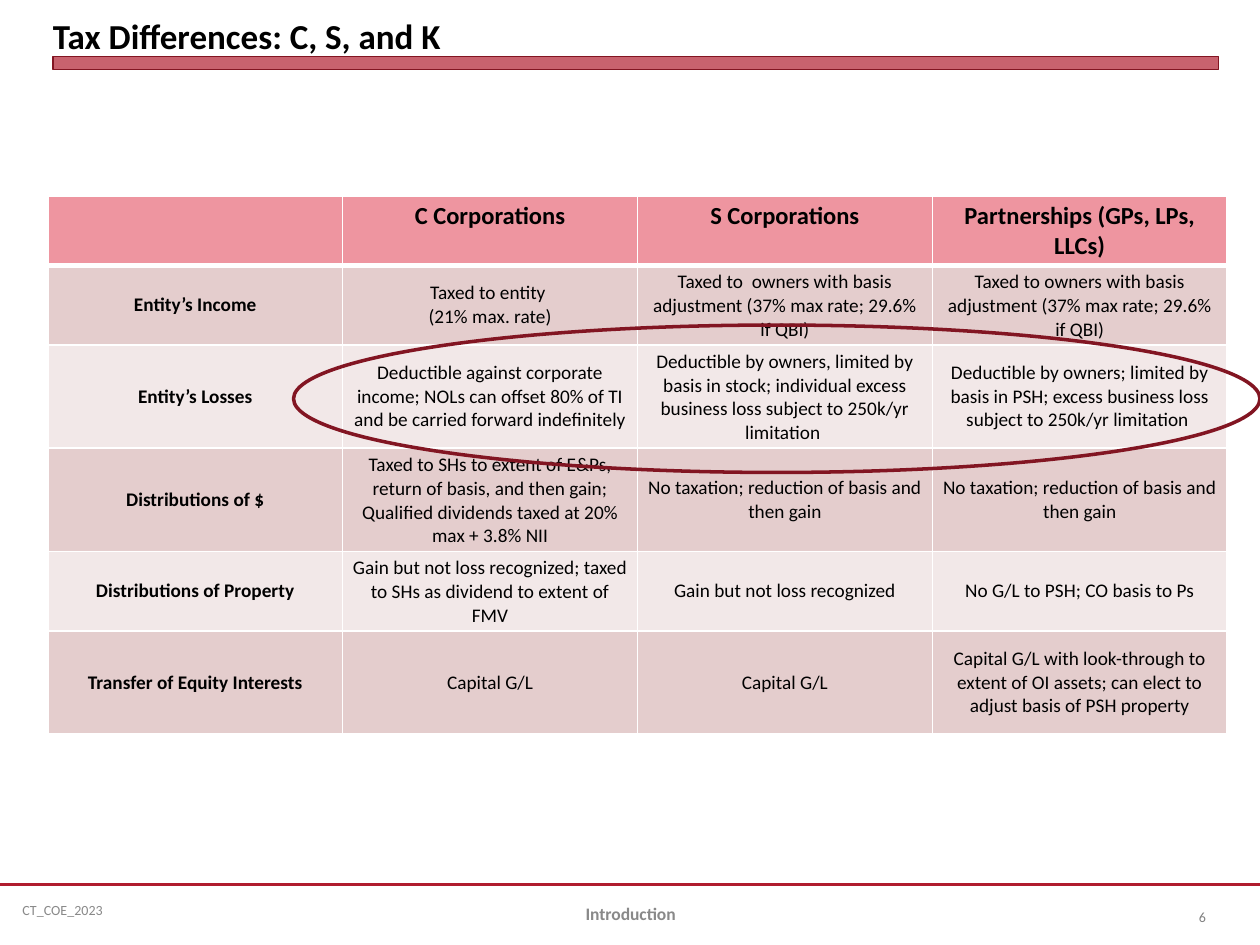
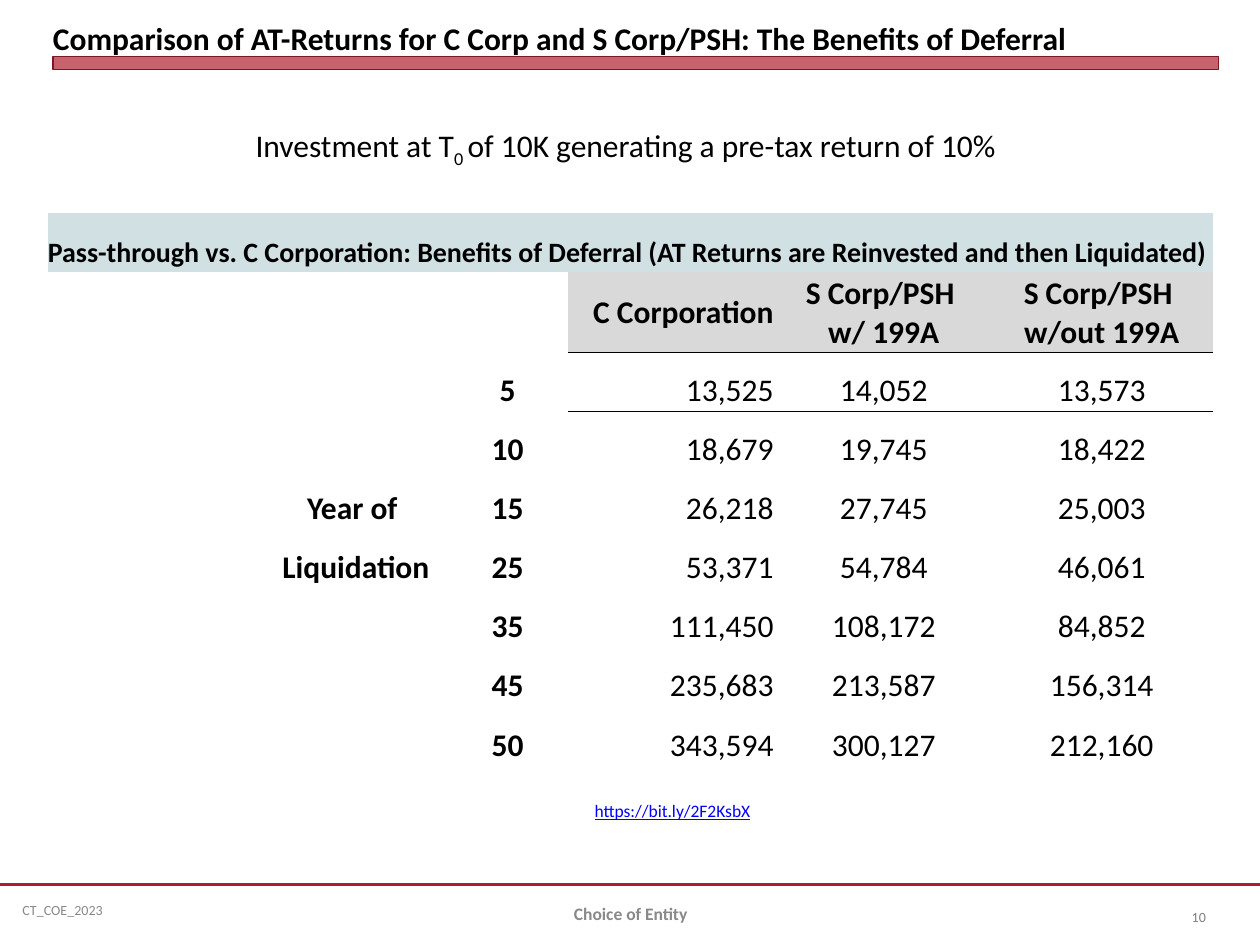
from pptx import Presentation
from pptx.dml.color import RGBColor
from pptx.enum.shapes import MSO_CONNECTOR as CONNECTOR, MSO_SHAPE as SHAPE
from pptx.enum.text import MSO_ANCHOR as ANCHOR, PP_ALIGN as ALIGN
from pptx.oxml.ns import qn
from pptx.util import Inches, Pt
from lxml.etree import SubElement

FONT = "Calibri"
COLORS = {
    "black": "000000", "white": "FFFFFF", "gray": "898989", "page": "808080",
    "crimson": "B01C2E", "maroon": "821522", "link": "0000FF",
    "header": "EE95A0", "odd": "E4CDCD", "even": "F2E8E8",
    "caption": "D0E0E3", "columns": "D9D9D9",
}
NO_STYLE = "{2D5ABB26-0587-4C30-8999-92F81FD0307C}"

TAX_HEADERS = ["", "C Corporations", "S Corporations", "Partnerships (GPs, LPs, LLCs)"]
TAX_ROWS = [
    ["Entity’s Income", "Taxed to entity \n(21% max. rate)",
     "Taxed to  owners with basis adjustment (37% max rate; 29.6% if QBI)",
     "Taxed to owners with basis adjustment (37% max rate; 29.6% if QBI)"],
    ["Entity’s Losses",
     "Deductible against corporate income; NOLs can offset 80% of TI and be carried forward indefinitely",
     "Deductible by owners, limited by basis in stock; individual excess business loss subject to 250k/yr limitation ",
     "Deductible by owners; limited by basis in PSH; excess business loss subject to 250k/yr limitation "],
    ["Distributions of $",
     "Taxed to SHs to extent of E&Ps, return of basis, and then gain; "
     "Qualified dividends taxed at 20% max + 3.8% NII",
     "No taxation; reduction of basis and then gain",
     "No taxation; reduction of basis and then gain"],
    ["Distributions of Property",
     "Gain but not loss recognized; taxed to SHs as dividend to extent of FMV",
     "Gain but not loss recognized", "No G/L to PSH; CO basis to Ps"],
    ["Transfer of Equity Interests", "Capital G/L", "Capital G/L",
     "Capital G/L with look-through to extent of OI assets; can elect to adjust basis of PSH property"],
]
TAX_ROW_HEIGHTS = [0.3, 0.6, 0.82, 0.82, 0.63, 0.82]

RETURNS_CAPTION = ("Pass-through vs. C Corporation: Benefits of Deferral "
                   "(AT Returns are Reinvested and then Liquidated)")
RETURNS_HEADERS = ["", "", "", "C Corporation", "S Corp/PSH \vw/ 199A", "S Corp/PSH \vw/out 199A"]
RETURNS_ROWS = [
    ["", "", "5", "13,525", "14,052", "13,573"],
    ["", "", "10", "18,679", "19,745", "18,422"],
    ["", "Year of ", "15", "26,218", "27,745", "25,003"],
    ["", "Liquidation", "25", "53,371", "54,784", "46,061"],
    ["", "", "35", "111,450", "108,172", "84,852"],
    ["", "", "45", "235,683", "213,587", "156,314"],
    ["", "", "50", "343,594", "300,127", "212,160"],
]
RETURNS_WIDTHS = [1.72, 1.45, 0.96, 1.66, 1.69, 1.77]


def rgb(name):
    return RGBColor.from_string(COLORS[name])


def format_text(frame, size, color="black", bold=False, align=ALIGN.LEFT):
    for paragraph in frame.paragraphs:
        paragraph.alignment = align
        for run in paragraph.runs:
            run.font.name = FONT
            run.font.size = Pt(size)
            run.font.bold = bold
            run.font.color.rgb = rgb(color)


def add_text(slide, box, text, size, color="black", bold=False, align=ALIGN.LEFT,
             anchor=ANCHOR.MIDDLE, wrap=True):
    frame = slide.shapes.add_textbox(*map(Inches, box)).text_frame
    frame.text = text
    frame.word_wrap = wrap
    frame.vertical_anchor = anchor
    format_text(frame, size, color, bold, align)
    return frame


def add_outlined_shape(slide, kind, box, width):
    shape = slide.shapes.add_shape(kind, *map(Inches, box))
    shape.shadow.inherit = False
    shape.line.color.rgb = rgb("maroon")
    shape.line.width = Pt(width)
    return shape


def add_frame(slide, title, title_size, section, page):
    """Title with its bar, footer rule and footer texts."""
    rule = slide.shapes.add_connector(CONNECTOR.STRAIGHT, 0, Inches(7.02), Inches(10), Inches(7.02))
    rule.line.color.rgb = rgb("crimson")
    rule.line.width = Pt(1.25)
    SubElement(rule._element.spPr, qn("a:effectLst"))

    bar = add_outlined_shape(slide, SHAPE.RECTANGLE, (0.42, 0.45, 9.25, 0.1), 0)
    bar.fill.solid()
    bar.fill.fore_color.rgb = rgb("crimson")
    bar_color = bar._element.spPr.find(qn("a:solidFill"))[0]
    SubElement(bar_color, qn("a:alpha")).set("val", "69000")

    heading = add_text(slide, (0.42, 0.05, 9.25, 0.4), title, title_size, bold=True,
                       anchor=ANCHOR.BOTTOM)
    heading.margin_left = heading.margin_right = heading.margin_top = heading.margin_bottom = 0

    add_text(slide, (0.08, 7.02, 2.58, 0.4), "CT_COE_2023", 8, "gray")
    add_text(slide, (3.42, 7.05, 3.17, 0.4), section, 10, "gray", True, ALIGN.CENTER)
    add_text(slide, (9.17, 7.08, 0.5, 0.4), page, 8, "page", align=ALIGN.RIGHT)


def add_plain_table(slide, left, top, widths, heights):
    """Table without any style, sized by its columns and rows."""
    table = slide.shapes.add_table(len(heights), len(widths), Inches(left), Inches(top),
                                   Inches(sum(widths)), Inches(sum(heights))).table
    table.first_row = table.horz_banding = False
    table._tbl.tblPr.find(qn("a:tableStyleId")).text = NO_STYLE
    for column, width in zip(table.columns, widths):
        column.width = Inches(width)
    for row, height in zip(table.rows, heights):
        row.height = Inches(height)
    return table


def set_border(cell, side, color, width):
    line = SubElement(cell._tc.get_or_add_tcPr(), qn(f"a:ln{side}"), w=str(Pt(width)))
    fill = SubElement(line, qn("a:solidFill"))
    SubElement(fill, qn("a:srgbClr"), val=COLORS[color])


def fill_cell(cell, text, size, bold, align, anchor, margins, fill=None):
    cell.text = text
    cell.vertical_anchor = anchor
    cell.margin_left = cell.margin_right = Inches(margins[0])
    cell.margin_top = cell.margin_bottom = Inches(margins[1])
    format_text(cell.text_frame, size, bold=bold, align=align)
    if fill:
        cell.fill.solid()
        cell.fill.fore_color.rgb = rgb(fill)
    else:
        cell.fill.background()


def add_tax_table(slide, left, top):
    table = add_plain_table(slide, left, top, [2.34] * 4, TAX_ROW_HEIGHTS)
    for r, texts in enumerate([TAX_HEADERS] + TAX_ROWS):
        is_header = r == 0
        fill = "header" if is_header else "odd" if r % 2 else "even"
        for c, text in enumerate(texts):
            cell = table.cell(r, c)
            for side in "LRTB":
                thick = (is_header and side == "B") or (r == 1 and side == "T")
                set_border(cell, side, "white", 3 if thick else 1)
            fill_cell(cell, text, 14 if is_header else 11, is_header or c == 0, ALIGN.CENTER,
                      ANCHOR.TOP if is_header else ANCHOR.MIDDLE, (0.08, 0.04), fill)


def add_returns_table(slide, left, top):
    table = add_plain_table(slide, left, top, RETURNS_WIDTHS, [0.47] * (len(RETURNS_ROWS) + 2))
    caption = table.cell(0, 0)
    caption.merge(table.cell(0, len(RETURNS_WIDTHS) - 1))
    fill_cell(caption, RETURNS_CAPTION, 16, True, ALIGN.LEFT, ANCHOR.BOTTOM, (0, 0.02), "caption")

    for r, texts in enumerate([RETURNS_HEADERS] + RETURNS_ROWS, start=1):
        is_header = r == 1
        for c, text in enumerate(texts):
            cell = table.cell(r, c)
            is_value = c >= 3
            if is_value and r <= 2:
                set_border(cell, "B" if is_header else "T", "black", 0.75)
            fill_cell(cell, text, 18, is_header or not is_value,
                      ALIGN.RIGHT if c == 3 else ALIGN.CENTER,
                      ANCHOR.MIDDLE if is_header else ANCHOR.BOTTOM, (0.03, 0.02),
                      "columns" if is_header and is_value else None)


def add_investment_note(slide, box):
    note = add_text(slide, box, "Investment at T", 18, anchor=ANCHOR.TOP, wrap=False)
    paragraph = note.paragraphs[0]
    subscript = paragraph.add_run()
    subscript.text = "0 "
    paragraph.add_run().text = "of 10K generating a pre-tax return of 10%"
    format_text(note, 18)
    subscript._r.get_or_add_rPr().set("baseline", "-25000")


def build_tax_slide(slide):
    add_frame(slide, "Tax Differences: C, S, and K", 20, "Introduction", "6")
    add_tax_table(slide, 0.38, 1.56)
    highlight = add_outlined_shape(slide, SHAPE.OVAL, (2.33, 2.58, 7.67, 1.17), 2)
    highlight.fill.background()


def build_returns_slide(slide):
    add_frame(slide, "Comparison of AT-Returns for C Corp and S Corp/PSH: The Benefits of Deferral",
              18, "Choice of Entity", "10")
    add_returns_table(slide, 0.38, 1.69)
    link = add_text(slide, (4.62, 6.3, 1.78, 0.27), "https://bit.ly/2F2KsbX", 10, "link",
                    anchor=ANCHOR.TOP, wrap=False)
    link.paragraphs[0].runs[0].font.underline = True
    add_investment_note(slide, (1.93, 0.95, 6.24, 0.4))


def main():
    deck = Presentation()
    deck.slide_width, deck.slide_height = Inches(10), Inches(7.5)
    for build in (build_tax_slide, build_returns_slide):
        build(deck.slides.add_slide(deck.slide_layouts[6]))
    deck.save("out.pptx")


if __name__ == "__main__":
    main()
